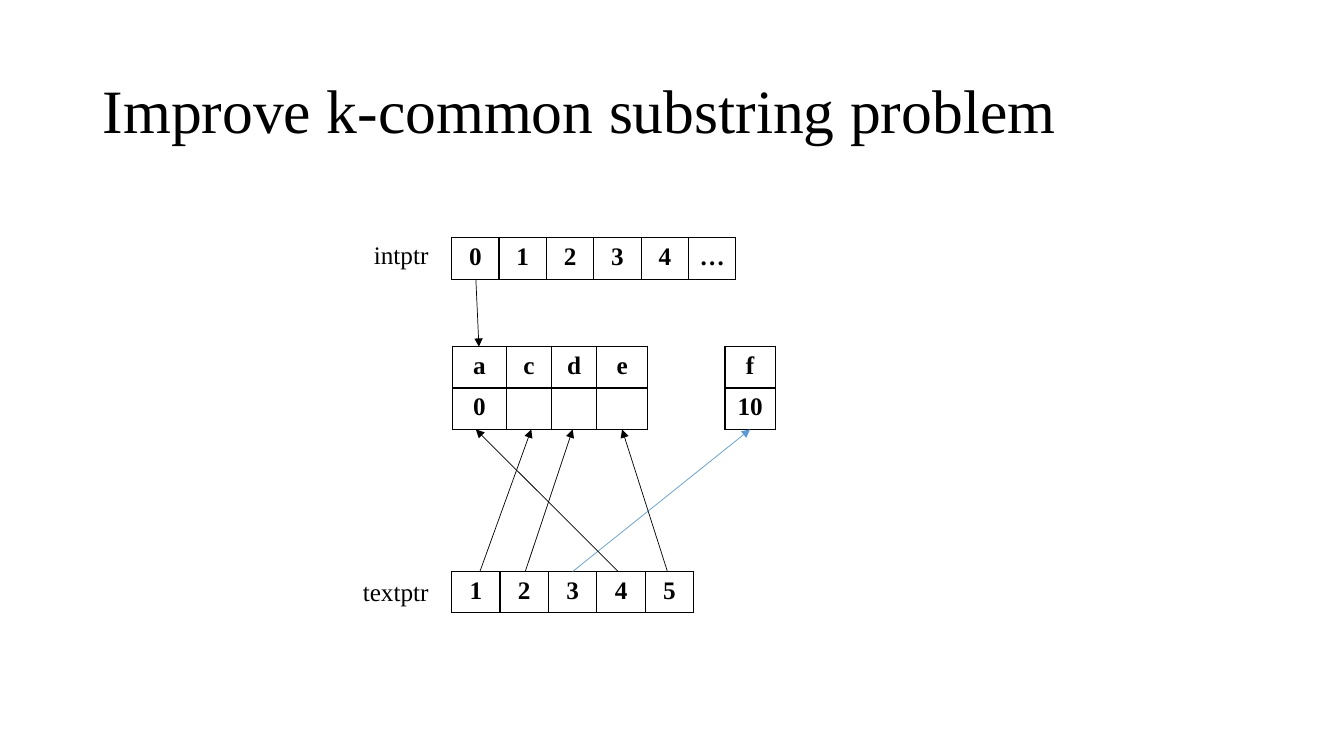
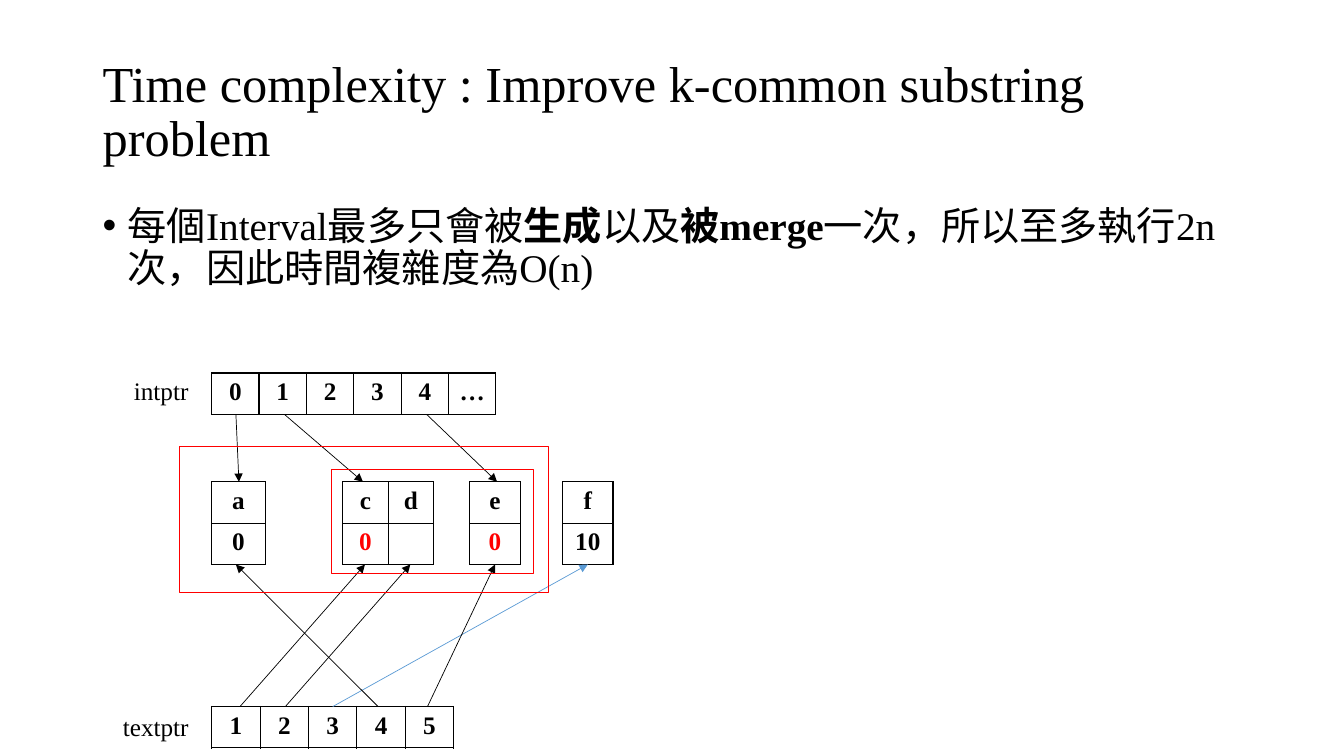
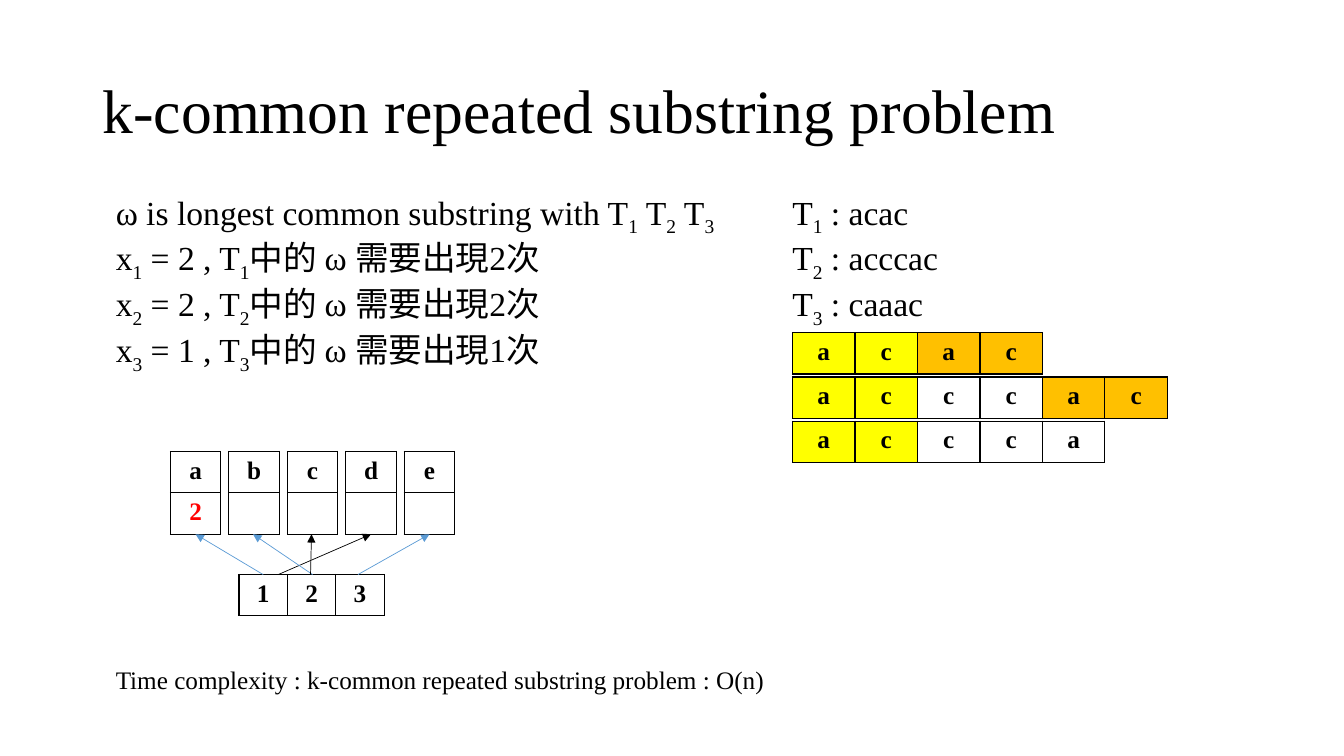
import dataclasses

import pptx
import pptx.dml.color
import pptx.enum.shapes
import pptx.enum.text
import pptx.oxml
import pptx.oxml.ns
import pptx.util
from pptx.util import Inches


@dataclasses.dataclass(frozen=True)
class Theme:
    font: str = "Times New Roman"
    black: str = "000000"
    blue: str = "5B9BD5"
    red: str = "FF0000"
    yellow: str = "FFFF00"
    orange: str = "FFC000"
    title: int = 44
    long_title: int = 36
    body: int = 28
    note: int = 24
    label: int = 18
    border: float = 1
    arrow: float = 0.5
    row: float = 0.41
    key: float = 0.5
    pointer: float = 0.48
    letter: float = 0.62


THEME = Theme()
ALIGN = pptx.enum.text.PP_ALIGN
ANCHOR = pptx.enum.text.MSO_ANCHOR


def color(code):
    return pptx.dml.color.RGBColor.from_string(code)


def add_xml(parent, markup):
    head, tail = markup.split(" ", 1) if " " in markup else (markup[:-2], "/>")
    element = pptx.oxml.parse_xml(f"{head} {pptx.oxml.ns.nsdecls('a')} {tail}")
    parent.append(element)


def add_span(para, text, size, ink=THEME.black, bold=False, sub=False):
    span = para.add_run()
    span.text = text
    span.font.name = THEME.font
    span.font.size = pptx.util.Pt(size)
    span.font.bold = bold
    span.font.color.rgb = color(ink)
    if sub:
        span.font._element.set("baseline", "-25000")


def add_text(page, left, top, width, height, lines, size, accent="sub",
             wrap=True, anchor=ANCHOR.TOP, spacing=None):
    box = page.shapes.add_textbox(Inches(left), Inches(top), Inches(width), Inches(height))
    frame = box.text_frame
    frame.word_wrap = wrap
    frame.vertical_anchor = anchor
    for number, spans in enumerate(lines):
        para = frame.paragraphs[0] if number == 0 else frame.add_paragraph()
        para.line_spacing = spacing
        for index, text in enumerate(spans):
            add_span(para, text, size, **{accent: index % 2 == 1})
    return box


def add_title(page, text, size=THEME.title):
    add_text(page, 0.92, 0.4, 11.5, 1.45, [[text]], size,
             anchor=ANCHOR.MIDDLE, spacing=0.9)


def add_bullet(page, spans):
    box = add_text(page, 0.92, 2, 11.5, 4.76, [spans], THEME.body, accent="bold", spacing=0.9)
    properties = box.text_frame.paragraphs[0]._p.get_or_add_pPr()
    properties.set("marL", str(Inches(0.25)))
    properties.set("indent", str(Inches(-0.25)))
    add_xml(properties, '<a:buFont typeface="Arial"/>')
    add_xml(properties, '<a:buChar char="•"/>')


def add_label(page, left, top, width, text, wrap=True):
    add_text(page, left, top, width, 0.4, [[text]], THEME.label, wrap=wrap)


def style_cell(cell, text, ink, fill):
    properties = cell._tc.get_or_add_tcPr()
    for side in ("lnL", "lnR", "lnT", "lnB"):
        add_xml(properties, f'<a:{side} w="{pptx.util.Pt(THEME.border)}"><a:solidFill>'
                            f'<a:srgbClr val="{THEME.black}"/></a:solidFill></a:{side}>')
    if fill:
        cell.fill.solid()
        cell.fill.fore_color.rgb = color(fill)
    else:
        cell.fill.background()
    para = cell.text_frame.paragraphs[0]
    para.alignment = ALIGN.CENTER
    if text:
        add_span(para, text, THEME.label, ink, bold=True)
    else:
        para.font.size = pptx.util.Pt(THEME.label)
        para.font.name = THEME.font


def add_grid(page, left, top, column, rows, value_ink=THEME.black, fills=None):
    count = len(rows[0])
    frame = page.shapes.add_table(len(rows), count, Inches(left), Inches(top),
                                  Inches(column * count), Inches(THEME.row * len(rows)))
    table = frame.table
    table.first_row = False
    table.horz_banding = False
    for table_column in table.columns:
        table_column.width = Inches(column)
    for row, texts in enumerate(rows):
        table.rows[row].height = Inches(THEME.row)
        for index, text in enumerate(texts):
            style_cell(table.cell(row, index), text,
                       value_ink if row else THEME.black, fills[index] if fills else None)


def add_arrow(page, start, end, ink=THEME.black):
    arrow = page.shapes.add_connector(pptx.enum.shapes.MSO_CONNECTOR.STRAIGHT,
                                      *(Inches(length) for length in (*start, *end)))
    arrow.line.color.rgb = color(ink)
    arrow.line.width = pptx.util.Pt(THEME.arrow)
    add_xml(arrow.line._get_or_add_ln(), '<a:tailEnd type="triangle"/>')
    add_xml(arrow._element.spPr, "<a:effectLst/>")


def add_frame(page, left, top, width, height):
    frame = page.shapes.add_shape(pptx.enum.shapes.MSO_SHAPE.RECTANGLE,
                                  Inches(left), Inches(top), Inches(width), Inches(height))
    frame.shadow.inherit = False
    frame.fill.background()
    frame.line.color.rgb = color(THEME.red)
    frame.line.width = pptx.util.Pt(THEME.border)


def add_interval_diagram(page, left, top, intervals, interval_links, text_targets):
    interval_top = top + 1.08
    interval_bottom = interval_top + 2 * THEME.row
    text_top = top + 3.31
    add_label(page, left - 0.87, top - 0.03, 0.78, "intptr")
    add_label(page, left - 0.98, text_top, 1.02, "textptr")
    add_grid(page, left, top, 0.47, ["01234…"])
    add_grid(page, left, text_top, THEME.pointer, ["12345"])
    for offset, column, rows, ink in intervals:
        add_grid(page, left + offset, interval_top, column, rows, ink)
    for start, end in interval_links:
        add_arrow(page, (left + start, top + THEME.row), (left + end, interval_top))
    for index, (start, end) in enumerate(zip((0.28, 0.73, 1.2, 1.65, 2.14), text_targets)):
        add_arrow(page, (left + start, text_top), (left + end, interval_bottom),
                  THEME.blue if index == 2 else THEME.black)


def build_improvement(page):
    add_title(page, "Improve k-common substring problem")
    intervals = [
        (0.01, 0.53, ["a", "0"], THEME.black),
        (0.54, 0.45, ["cd", ["", ""]], THEME.black),
        (1.44, THEME.key, ["e", [""]], THEME.black),
        (2.71, THEME.key, ["f", ["10"]], THEME.black),
    ]
    add_interval_diagram(page, 4.48, 2.36, intervals, [(0.24, 0.27)],
                         (0.79, 1.2, 2.96, 0.24, 1.69))


def build_complexity(page):
    add_title(page, "Time complexity : Improve k-common substring problem", THEME.long_title)
    add_bullet(page, ["每個Interval最多只會被", "生成", "以及", "被merge",
                      "一次，所以至多執行2n次，因此時間複雜度為O(n)"])
    intervals = [
        (0, 0.53, ["a", "0"], THEME.black),
        (1.3, 0.45, ["cd", ["0", ""]], THEME.red),
        (2.56, THEME.key, ["e", "0"], THEME.red),
        (3.48, THEME.key, ["f", ["10"]], THEME.black),
    ]
    add_interval_diagram(page, 2.1, 3.7, intervals,
                         [(0.24, 0.27), (0.72, 1.5), (2.13, 2.83)],
                         (1.52, 1.97, 3.73, 0.24, 2.81))
    add_frame(page, 3.29, 4.66, 2, 1.03)
    add_frame(page, 1.78, 4.43, 3.66, 1.45)


def build_repeated(page):
    add_title(page, "k-common repeated substring problem")
    conditions = [["x", number, f" = {times} , T", number, f"中的 ω 需要出現{times}次"]
                  for number, times in (("1", 2), ("2", 2), ("3", 1))]
    add_text(page, 1.05, 1.85, 7.16, 1.72,
             [["ω is longest common substring with T", "1", " T", "2", " T", "3"], *conditions],
             THEME.note)
    add_text(page, 7.76, 1.85, 6.67, 1.31,
             [["T", "1", " : acac"], ["T", "2", " : acccac"], ["T", "3", " : caaac"]],
             THEME.note)

    first, second = [THEME.yellow] * 2, [THEME.orange] * 2
    strings = [
        ("acac", first + second),
        ("acccac", first + [None] * 2 + second),
        ("accca", first + [None] * 3),
    ]
    for index, (letters, fills) in enumerate(strings):
        add_grid(page, 7.86, 3.3 + 0.44 * index, THEME.letter, [letters], fills=fills)

    key_top, pointer_top = 4.48, 5.7
    key_bottom = key_top + 2 * THEME.row
    for index, key in enumerate("abcde"):
        add_grid(page, 1.69 + 0.58 * index, key_top, THEME.key,
                 [key, ["2" if key == "a" else ""]], THEME.red)
    add_grid(page, 2.37, pointer_top, THEME.pointer, ["123"])
    links = [
        (2.61, 1.94, THEME.blue),
        (2.76, 3.68, THEME.black),
        (3.1, 2.51, THEME.blue),
        (3.08, 3.09, THEME.black),
        (3.55, 4.26, THEME.blue),
    ]
    for start, end, ink in links:
        add_arrow(page, (start, pointer_top), (end, key_bottom), ink)
    add_label(page, 1.05, 6.54, 6.76,
              "Time complexity : k-common repeated substring problem : O(n)", wrap=False)


def main():
    deck = pptx.Presentation()
    deck.slide_width = Inches(13.33)
    deck.slide_height = Inches(7.5)
    for build in (build_improvement, build_complexity, build_repeated):
        build(deck.slides.add_slide(deck.slide_layouts[6]))
    deck.save("out.pptx")


if __name__ == "__main__":
    main()
